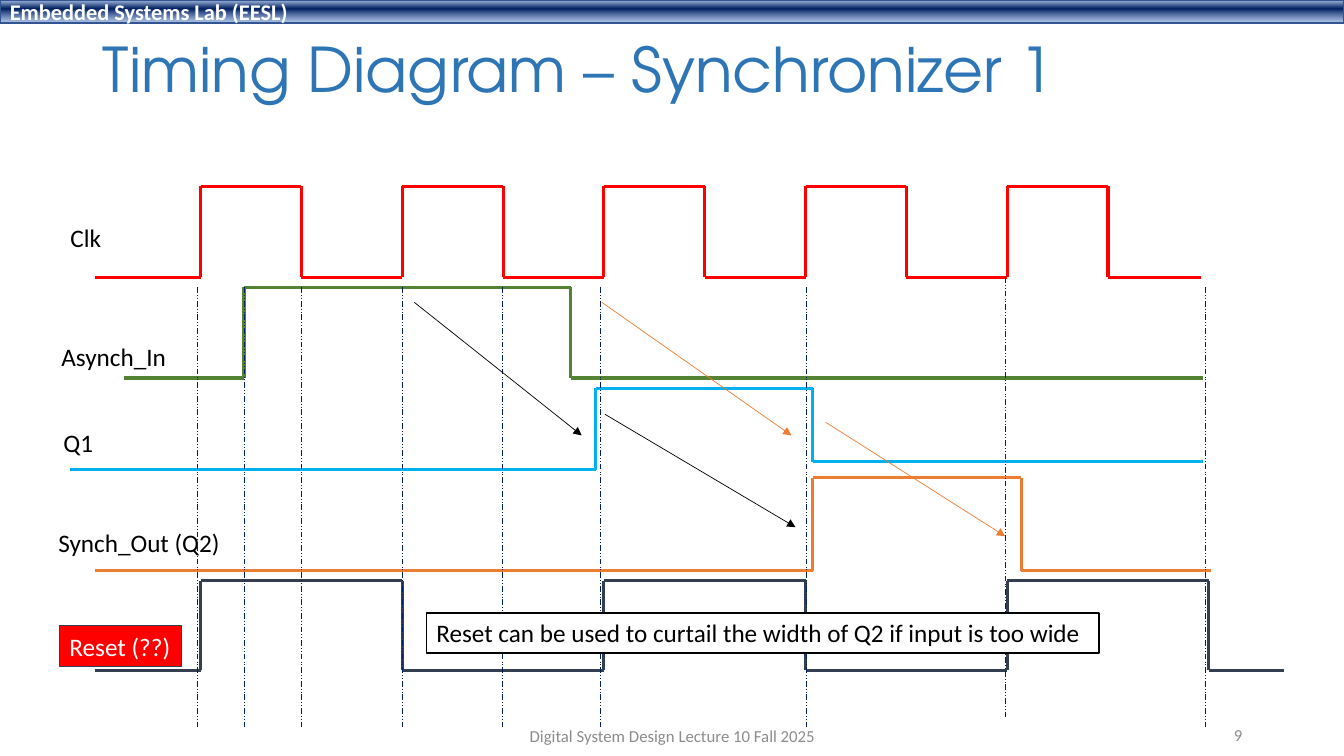
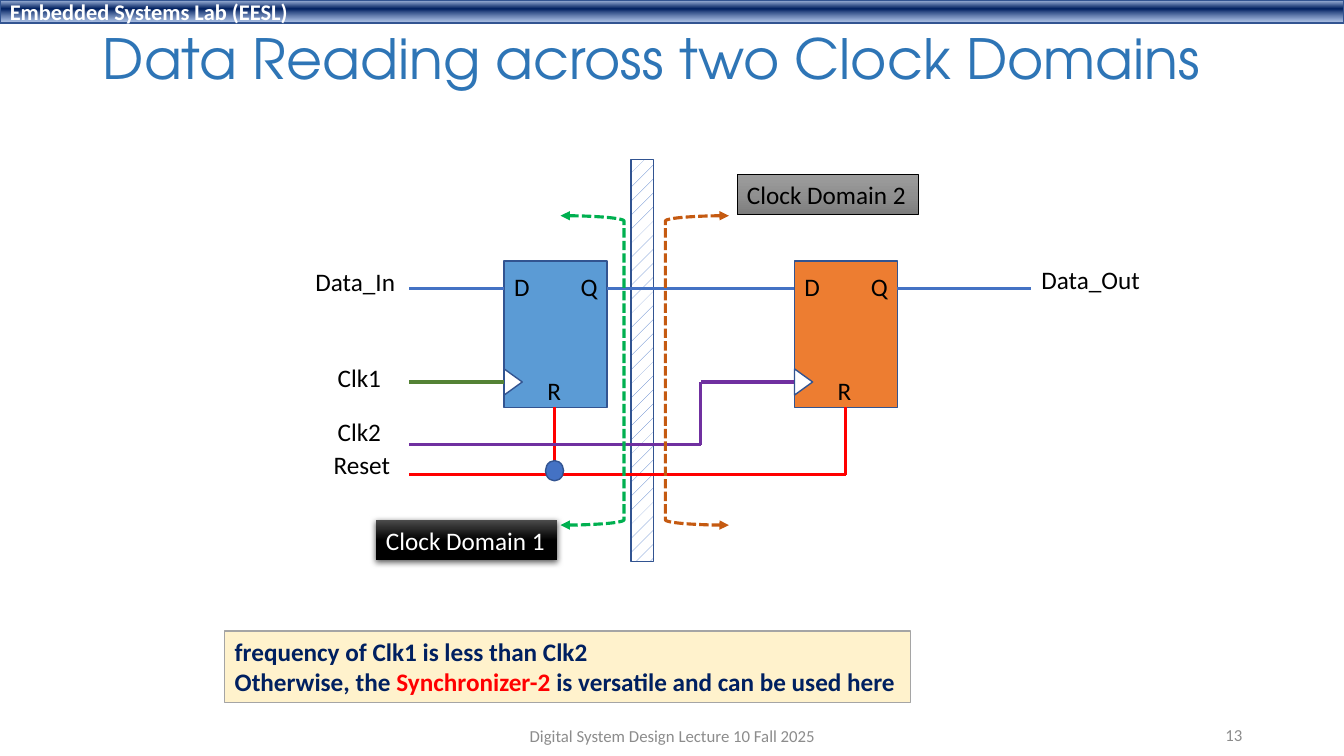
from lxml.etree import SubElement as Sub
from pptx import Presentation
from pptx.dml.color import RGBColor as Rgb
from pptx.enum.dml import MSO_LINE as Dash, MSO_PATTERN as Pat
from pptx.enum.shapes import MSO_CONNECTOR as Link, MSO_SHAPE as Kind
from pptx.enum.text import MSO_ANCHOR as Anchor, MSO_AUTO_SIZE as Fit, PP_ALIGN as Align
from pptx.oxml.ns import qn
from pptx.util import Inches, Pt

HUES = {
    "navy": "002060", "title": "2E75B6", "edge": "325491", "gray": "8C8C8C",
    "red": "FF0000", "green": "548235", "sky": "00B0F0", "orange": "ED7D31",
    "slate": "333F50", "black": "000000", "white": "FFFFFF", "blue": "4472C4",
    "light": "5B9BD5", "violet": "7030A0", "leaf": "00B050", "rust": "C55A11",
    "cream": "FFF2CC", "silver": "A5A5A5", "pale": "ABC0E4", "haze": "7E9ED6",
    "coal": "4B4B4B", "ash": "9D9D9D", "stone": "909090", "iron": "7C7C7C",
}
BODY = {"name": "Calibri", "size": Pt(18), "bold": False}
BOLD = BODY | {"bold": True}
BAND = BOLD | {"size": Pt(16)}
FOOT = BODY | {"size": Pt(12)}
HEAD = BODY | {"name": "TeX Gyre Adventor"}
PAGE = (0, 0)


def tint(hue):
    return Rgb.from_string(HUES[hue])


def spot(org, at):
    x, y, w, h = at
    return [Inches(v) for v in (org[0] + x, org[1] + y, w, h)]


def stroke(line, hue, width=1, dash=None, ends=()):
    line.color.rgb = tint(hue)
    line.width = Pt(width)
    if dash:
        line.dash_style = dash
    for end in ends:
        Sub(line._get_or_add_ln(), qn(f"a:{end}End"), type="triangle")


def write(frame, rows, form, align=Align.LEFT, anchor=Anchor.TOP, wrap=False):
    for name, val in {"word_wrap": wrap, "auto_size": Fit.NONE,
                      "vertical_anchor": anchor}.items():
        setattr(frame, name, val)
    for i, row in enumerate(rows):
        para = frame.add_paragraph() if i else frame.paragraphs[0]
        para.alignment = align
        for words, hue in row:
            run = para.add_run()
            run.text = words
            for name, val in form.items():
                setattr(run.font, name, val)
            run.font.color.rgb = tint(hue)


def label(slide, org, at, words, hue="black", form=BODY, **opts):
    box = slide.shapes.add_textbox(*spot(org, at))
    write(box.text_frame, [[(words, hue)]], form, **{"wrap": True} | opts)


def trace(slide, org, pts, hue, width=2.25, dash=None, ends=()):
    spots = [(Inches(org[0] + x), Inches(org[1] + y)) for x, y in pts]
    for a, b in zip(spots, spots[1:]):
        wire = slide.shapes.add_connector(Link.STRAIGHT, *a, *b)
        stroke(wire.line, hue, width, dash, ends)
        Sub(wire._element.spPr, qn("a:effectLst"))


def block(slide, org, kind, at, fill=None, edge="edge", **opts):
    part = slide.shapes.add_shape(kind, *spot(org, at))
    part.shadow.inherit = False
    if fill:
        part.fill.solid()
        part.fill.fore_color.rgb = tint(fill)
    else:
        part.fill.background()
    if edge:
        stroke(part.line, edge, **opts)
    else:
        part.line.fill.background()
    return part


def blend(part, stops):
    part.fill.gradient()
    part.fill.gradient_angle = 270
    chain = part._element.spPr.find(qn("a:gradFill")).find(qn("a:gsLst"))
    for old in list(chain):
        chain.remove(old)
    for pos, hue, alpha in stops:
        stop = Sub(chain, qn("a:gs"), pos=str(pos * 1000))
        color = Sub(stop, qn("a:srgbClr"), val=HUES[hue])
        if alpha < 100:
            Sub(color, qn("a:alpha"), val=str(alpha * 1000))


def shade(part):
    cast = Sub(part._element.spPr.find(qn("a:effectLst")), qn("a:outerShdw"),
               blurRad=str(int(Pt(4.5))), dist=str(int(Pt(1.5))), dir="5400000",
               algn="ctr", rotWithShape="0")
    color = Sub(cast, qn("a:srgbClr"), val=HUES["black"])
    Sub(color, qn("a:alpha"), val="63000")


def band(deck, slide):
    bar = block(slide, PAGE, Kind.RECTANGLE, (0, 0, 13.33, 0.23), "navy")
    blend(bar, [(2, "pale", 100), (38, "navy", 100), (93, "haze", 64)])
    write(bar.text_frame, [[("Embedded Systems Lab (EESL)", "white")]],
          BAND, anchor=Anchor.MIDDLE, wrap=True)
    deck.slide_master.shapes._spTree.append(bar._element)


def start(deck, words, size, high, num):
    slide = deck.slides.add_slide(deck.slide_layouts[5])
    title = slide.shapes.title
    for name, val in zip(("left", "top", "width", "height"),
                         spot(PAGE, (0.92, 0.15, 11.5, high))):
        setattr(title, name, val)
    write(title.text_frame, [[(words, "title")]], HEAD | {"size": Pt(size)},
          anchor=Anchor.MIDDLE, wrap=True)
    title.text_frame.paragraphs[0].line_spacing = 0.9
    for at, text, align in (
        ((4.42, 7.1, 4.5, 0.4), "Digital System Design Lecture 10 Fall 2025", Align.CENTER),
        ((9.42, 7.09, 3, 0.4), str(num), Align.RIGHT),
    ):
        label(slide, PAGE, at, text, "gray", FOOT, align=align, anchor=Anchor.MIDDLE)
    return slide


def wave(slide, org, box, edges, hue, lift=0):
    x, y, w, h = box
    pts = [(x, y + h)]
    for i, edge in enumerate(edges):
        low = y + h - (lift if i else 0)
        step = [(edge, low), (edge, y)]
        pts += step if i % 2 == 0 else step[::-1]
    trace(slide, org, pts + [(x + w, y + h - lift)], hue)


def timing(slide, org):
    for box, edges, hue, lift in (
        ((0, 0, 10.97, 0.9), [1.05 + i for i in range(10)], "red", 0),
        ((0.29, 1, 10.7, 0.9), [1.48, 4.72], "green", 0),
        ((0, 2.89, 11.07, 0.92), [7.12, 9.19], "orange", 0),
        ((0, 3.91, 11.79, 0.89), [1.05 + 2 * i for i in range(6)], "slate", 0),
        ((-0.25, 2, 11.24, 0.81), [4.97, 7.12], "sky", 0.08),
    ):
        wave(slide, org, box, edges, hue, lift)
    tag = block(slide, org, Kind.RECTANGLE, (-0.35, 4.36, 1.21, 0.4),
                "red", "slate", width=0.75)
    write(tag.text_frame, [[("Reset (??)", "white")]], BODY)
    for x, y, words in ((-0.34, 0.31, "Clk"), (-0.43, 1.49, "Asynch_In"),
                        (-0.46, 3.33, "Synch_Out (Q2)"), (-0.41, 2.34, "Q1")):
        label(slide, org, (x, y, 2, 0.4), words)
    for x in (1.48, 1.02, 2.05, 3.05, 4.04, 5.01, 7.06, 11.01, 9.03):
        top = 0.9 if x == 9.03 else 1
        trace(slide, org, [(x, top), (x, top + 4.36)], "navy", 0.5, Dash.DASH_DOT_DOT)
    for a, b, hue in (
        ((3.17, 1.15), (4.83, 2.47), "black"),
        ((5.03, 1.15), (6.91, 2.47), "orange"),
        ((5.06, 2.26), (6.95, 3.38), "black"),
        ((7.25, 2.34), (9.03, 3.47), "orange"),
    ):
        trace(slide, org, [a, b], hue, 0.5, ends=["tail"])
    note = block(slide, org, Kind.RECTANGLE, (3.29, 4.23, 6.67, 0.4), "white", "black")
    write(note.text_frame, [[(
        "Reset can be used to curtail the width of Q2 if input is too wide",
        "black")]], BODY)


def latch(slide, org, hue):
    block(slide, org, Kind.RECTANGLE, (0, 0, 1.02, 1.45), hue)
    notch = block(slide, org, Kind.ISOSCELES_TRIANGLE, (-0.04, 1.11, 0.26, 0.18), "white")
    notch.rotation = 90
    for x, y, pin in ((0, 0.05, "D"), (0.66, 0.05, "Q"), (0.33, 1.08, "R")):
        label(slide, org, (x, y, 0.4, 0.4), pin)


def circuit(slide, org):
    wall = block(slide, org, Kind.RECTANGLE, (3.26, 0.08, 0.22, 3.99))
    wall.fill.patterned()
    wall.fill.pattern = Pat.PERCENT_5
    wall.fill.fore_color.rgb = tint("blue")
    wall.fill.back_color.rgb = tint("white")
    for x, hue in ((2, "light"), (4.88, "orange")):
        latch(slide, (org[0] + x, org[1] + 1.09), hue)
    for pts, hue in (
        ([(1.06, 1.36), (2, 1.36)], "blue"),
        ([(3.02, 1.36), (4.88, 1.36)], "blue"),
        ([(5.9, 1.36), (7.23, 1.36)], "blue"),
        ([(1.06, 2.29), (2, 2.29)], "green"),
        ([(2.5, 2.54), (2.5, 3.21)], "red"),
        ([(5.39, 2.54), (5.39, 3.21), (1.06, 3.21)], "red"),
        ([(4.88, 2.29), (3.95, 2.29), (3.95, 2.91), (1.06, 2.91)], "violet"),
    ):
        trace(slide, org, pts, hue)
    block(slide, org, Kind.OVAL, (2.41, 3.07, 0.18, 0.2), "blue")
    for x, y, words in ((0.03, 1.09, "Data_In"), (0.25, 2.05, "Clk1"),
                        (0.25, 2.58, "Clk2"), (0.21, 2.91, "Reset"),
                        (7.23, 1.07, "Data_Out")):
        label(slide, org, (x, y, 1.25, 0.4), words)
    for x, hue, turn in ((2.56, "leaf", "0"), (3.6, "rust", "1")):
        arc = block(slide, org, Kind.RIGHT_BRACKET, (x, 0.64, 0.63, 3.07), None, hue,
                    width=2.25, dash=Dash.SQUARE_DOT, ends=["head", "tail"])
        arc._element.spPr.find(qn("a:xfrm")).set("flipH", turn)
    for x, y, num, ink, edge, hues in (
        (0.73, 3.66, 1, "white", None, ("coal", "black", "black")),
        (4.31, 0.23, 2, "black", "black", ("ash", "stone", "iron")),
    ):
        tag = block(slide, org, Kind.RECTANGLE, (x, y, 1.8, 0.4), hues[0], edge, width=0.5)
        blend(tag, [(50 * i, hue, 100) for i, hue in enumerate(hues)])
        write(tag.text_frame, [[(f"Clock Domain {num}", ink)]], BODY)
        if not edge:
            shade(tag)


def remark(slide, org):
    note = block(slide, org, Kind.RECTANGLE, (0, 0, 6.8, 0.71), "cream", "silver")
    write(note.text_frame, [
        [("frequency of Clk1 is less than Clk2", "navy")],
        [("Otherwise, the ", "navy"), ("Synchronizer-2", "red"),
         (" is versatile and can be used here", "navy")],
    ], BOLD)


def main():
    deck = Presentation()
    deck.slide_width, deck.slide_height = Inches(13.33), Inches(7.5)
    first = start(deck, "Timing Diagram – Synchronizer 1", 44, 1.14, 9)
    band(deck, first)
    timing(first, (0.94, 1.85))
    second = start(deck, "Data Reading across two Clock Domains", 39.6, 0.93, 13)
    circuit(second, (3, 1.5))
    remark(second, (2.23, 6.26))
    deck.save("out.pptx")


if __name__ == "__main__":
    main()
